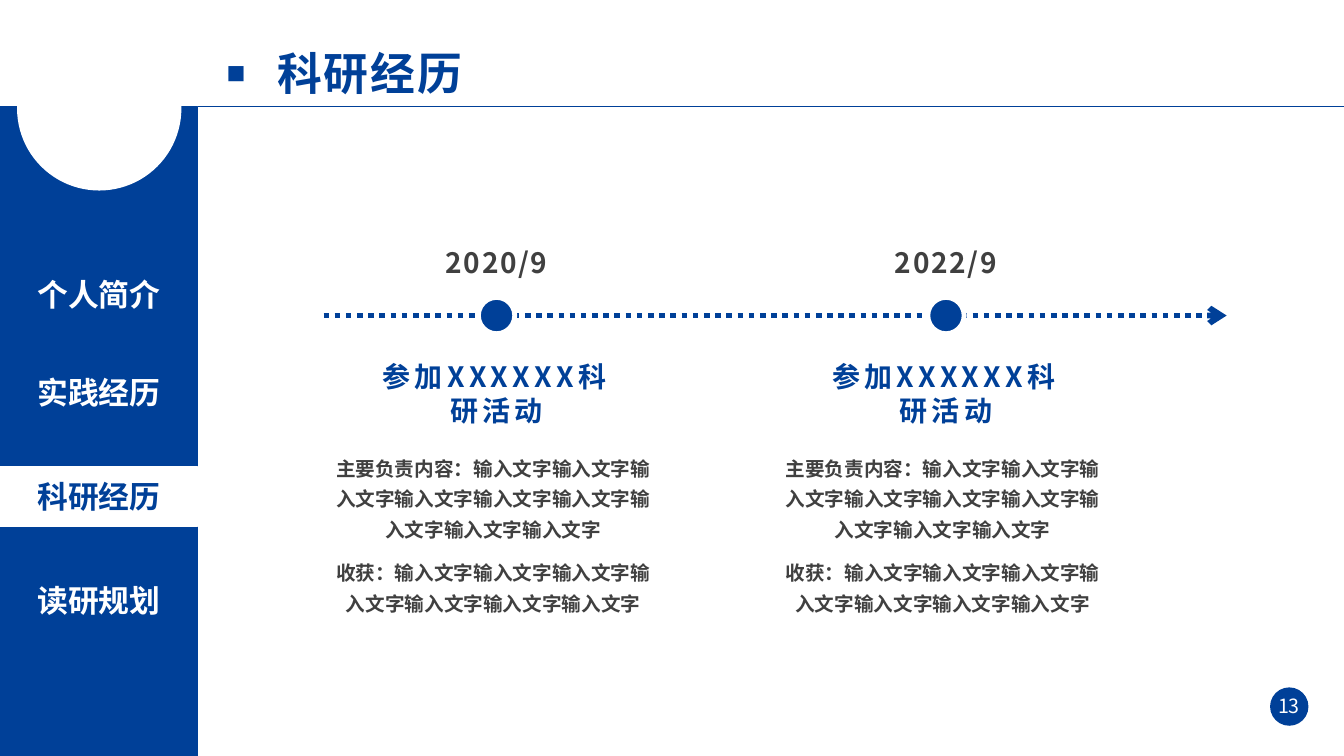
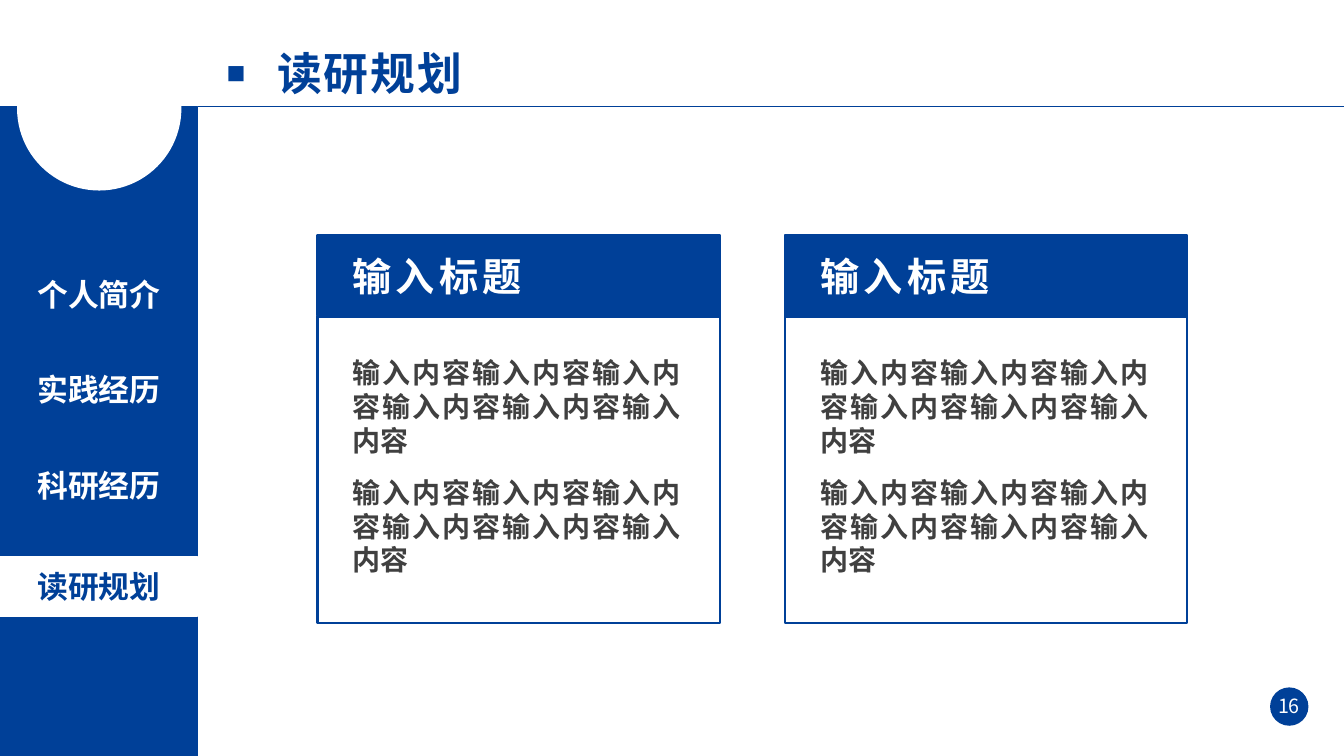
"""Builds two sidebar slides: a research timeline and a study plan."""
from lxml import etree
from pptx import Presentation
from pptx.dml.color import RGBColor
from pptx.enum import dml, shapes, text
from pptx.oxml import ns
from pptx.util import Pt

BLUE = RGBColor(0x00, 0x40, 0x98)
WHITE = RGBColor(0xFF, 0xFF, 0xFF)
GREY = RGBColor(0x40, 0x40, 0x40)
FACE = "Noto Sans CJK SC"
LEFT, CENTER, JUSTIFY = text.PP_ALIGN.LEFT, text.PP_ALIGN.CENTER, text.PP_ALIGN.JUSTIFY

SECTIONS = ["个人简介", "实践经历", "科研经历", "读研规划"]
RESEARCH = {"page": "13", "section": 2, "tops": [193.7, 263.5, 337.7, 411.8]}
PLAN = {"page": "16", "section": 3, "tops": [193.7, 261.4, 329.8, 401.8]}
ACTIVITY = "参加XXXXXX科研活动"
DUTIES = "主要负责内容：" + "输入文字" * 9
GAINS = "收获：" + "输入文字" * 7
EVENTS = [("2020/9", ACTIVITY, DUTIES, GAINS), ("2022/9", ACTIVITY, DUTIES, GAINS)]
PLAN_TEXT = "输入内容" * 6
CARDS = [("输入标题", [PLAN_TEXT, PLAN_TEXT])] * 2

TITLE = {"size": 32, "color": BLUE, "bold": True, "spacing": 1.4}
MENU = {"size": 22, "color": WHITE, "bold": True, "align": CENTER}
MENU_ACTIVE = {**MENU, "color": BLUE}
PAGE = {"size": 14, "color": WHITE, "align": CENTER}
DATE = {"size": 20, "color": GREY, "bold": True, "spacing": 1.2, "align": CENTER}
EVENT = {"size": 20, "color": BLUE, "bold": True, "spacing": 3, "align": CENTER}
DETAIL = {"size": 14, "color": GREY, "bold": True, "align": CENTER, "leading": 1.3}
CARD_TITLE = {"size": 28, "color": WHITE, "bold": True, "spacing": 3}
CARD_TEXT = {"size": 20, "color": GREY, "bold": True, "align": JUSTIFY}

SIDEBAR_WIDTH, SIDEBAR_TOP = 141.1, 76.3
SLIDE_WIDTH, SLIDE_HEIGHT = 960, 540


def add_element(parent, tag, **attributes):
    return etree.SubElement(parent, ns.qn(tag), attributes)


def add_block(slide, kind, box, fill, outline=None, weight=1):
    block = slide.shapes.add_shape(kind, *map(Pt, box))
    block.shadow.inherit = False
    block.fill.solid()
    block.fill.fore_color.rgb = fill
    if outline is None:
        block.line.fill.background()
    else:
        block.line.color.rgb = outline
        block.line.width = Pt(weight)


def add_rule(slide, start, end, weight):
    rule = slide.shapes.add_connector(shapes.MSO_CONNECTOR.STRAIGHT, *map(Pt, start + end))
    rule.line.color.rgb = BLUE
    rule.line.width = Pt(weight)
    return rule


def finish_rule(rule):
    add_element(rule._element.spPr, "a:effectLst")


def add_words(slide, words, box, style, bullet=None):
    words_box = slide.shapes.add_textbox(*map(Pt, box))
    frame = words_box.text_frame
    frame.word_wrap = True
    paragraph = frame.paragraphs[0]
    paragraph.alignment = style.get("align", LEFT)
    if "leading" in style:
        paragraph.line_spacing = style["leading"]
    if bullet:
        properties = paragraph._p.get_or_add_pPr()
        properties.set("marL", str(Pt(36)))
        properties.set("indent", str(Pt(-36)))
        add_element(properties, "a:buSzPct", val="70000")
        add_element(properties, "a:buFont", typeface="Arial")
        add_element(properties, "a:buChar", char=bullet)
    run = paragraph.add_run()
    run.text = words
    look = {"name": FACE, "size": Pt(style["size"]), "bold": style.get("bold", False)}
    for name, value in look.items():
        setattr(run.font, name, value)
    run.font.color.rgb = style["color"]
    run_properties = run._r.get_or_add_rPr()
    add_element(run_properties, "a:ea", typeface=FACE)
    if "spacing" in style:
        run_properties.set("spc", str(round(style["spacing"] * 100)))
    return frame


def add_frame(deck, page, section, tops):
    slide = deck.slides.add_slide(deck.slide_layouts[6])
    oval, rectangle = shapes.MSO_SHAPE.OVAL, shapes.MSO_SHAPE.RECTANGLE
    add_block(slide, oval, (907.2, 491, 27.4, 27.4), BLUE)
    number = add_words(slide, page, (898, 489.6, 45.4, 28.8), PAGE)
    number.vertical_anchor = text.MSO_ANCHOR.MIDDLE
    finish_rule(add_rule(slide, (SIDEBAR_WIDTH, SIDEBAR_TOP), (SLIDE_WIDTH, SIDEBAR_TOP), 1))
    sidebar = (0, SIDEBAR_TOP, SIDEBAR_WIDTH, SLIDE_HEIGHT - SIDEBAR_TOP)
    add_block(slide, rectangle, sidebar, BLUE, BLUE)
    add_block(slide, oval, (12.2, 18.7, 117.4, 117.4), WHITE)
    add_words(slide, SECTIONS[section], (154.8, 28.8, 483.1, 46), TITLE, "■")
    add_block(slide, rectangle, (0, tops[section] - 4.3, SIDEBAR_WIDTH, 42.5), WHITE, WHITE)
    for index, (label, top) in enumerate(zip(SECTIONS, tops)):
        style = MENU_ACTIVE if index == section else MENU
        add_words(slide, label, (13.7, top, 113.8, 33.8), style)
    return slide


def add_timeline(slide):
    axis = 225.4
    arrow = add_rule(slide, (231.1, axis), (876.2, axis), 4)
    arrow.line.dash_style = dml.MSO_LINE.ROUND_DOT
    add_element(arrow.line._get_or_add_ln(), "a:tailEnd", type="arrow")
    finish_rule(arrow)
    for index, (date, activity, duties, gains) in enumerate(EVENTS):
        center = 354.7 + index * 321
        add_words(slide, activity, (center - 91.1, 253.4, 182.2, 55.4), EVENT)
        add_words(slide, date, (center - 56.5, 172.1, 113, 31.7), DATE)
        dot = (center - 13, axis - 13, 26, 26)
        add_block(slide, shapes.MSO_SHAPE.OVAL, dot, BLUE, WHITE, 3.5)
        for detail, top, height in [(duties, 317.5, 70.6), (gains, 392.4, 48.2)]:
            add_words(slide, detail, (center - 123.6, top, 242.6, height), DETAIL)


def add_cards(slide):
    rectangle, width = shapes.MSO_SHAPE.RECTANGLE, 287.3
    for index, (heading, plans) in enumerate(CARDS):
        left = 226.8 + index * 334.1
        add_block(slide, rectangle, (left, 226.1, width, 218.9), WHITE, BLUE, 1.5)
        add_block(slide, rectangle, (left, 167.8, width, 57.6), BLUE, BLUE, 1.5)
        add_words(slide, heading, (left + 18, 176.4, 248.4, 41), CARD_TITLE)
        for row, plan in enumerate(plans):
            add_words(slide, plan, (left + 18, 250.6 + row * 85.7, 248.4, 80), CARD_TEXT)


def main():
    deck = Presentation()
    deck.slide_width, deck.slide_height = Pt(SLIDE_WIDTH), Pt(SLIDE_HEIGHT)
    add_timeline(add_frame(deck, **RESEARCH))
    add_cards(add_frame(deck, **PLAN))
    deck.save("out.pptx")


if __name__ == "__main__":
    main()
